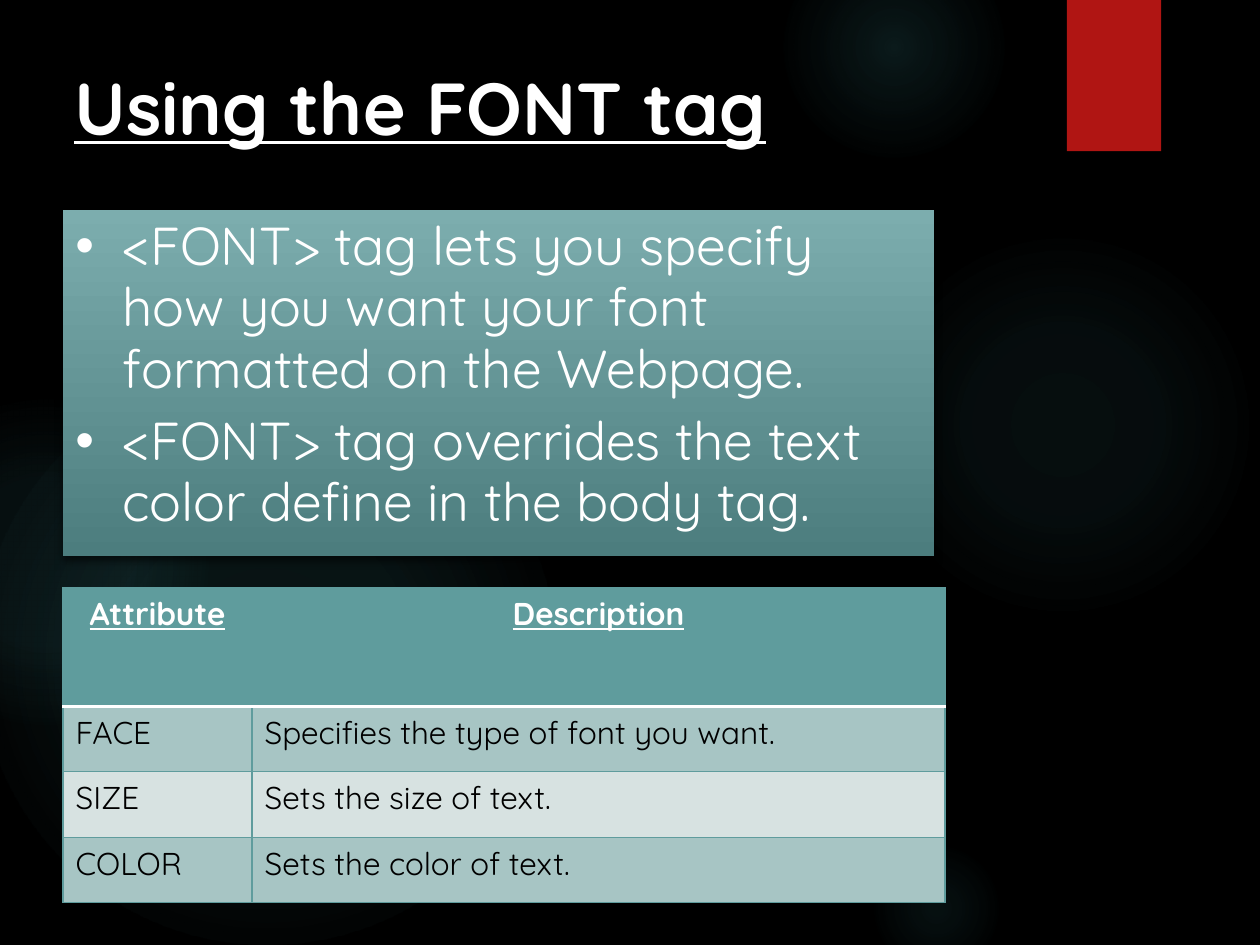
from lxml import etree
from pptx import Presentation
from pptx.dml.color import RGBColor
from pptx.enum.shapes import MSO_SHAPE as Shape
from pptx.enum.text import MSO_ANCHOR as Anchor, PP_ALIGN as Align
from pptx.oxml import parse_xml
from pptx.oxml.ns import nsdecls, qn
from pptx.util import Cm, Pt

BLACK = RGBColor(0x00, 0x00, 0x00)
WHITE = RGBColor(0xFF, 0xFF, 0xFF)
RED = RGBColor(0xB0, 0x15, 0x13)
GLOW = RGBColor(0x50, 0xB9, 0xC1)
PANEL_TOP = RGBColor(0x7C, 0xAD, 0xAE)
PANEL_BOTTOM = RGBColor(0x4C, 0x7D, 0x7E)
TEAL = RGBColor(0x5F, 0x9C, 0x9D)
BAND_DARK = RGBColor(0xA7, 0xC5, 0xC4)
BAND_LIGHT = RGBColor(0xD7, 0xE2, 0xE1)

GLOWS = [
    (17.5, 4.65, 7.82, [(0, 7), (36, 6), (69, 0)]),
    (15.8, -1.27, 4.45, [(0, 14), (36, 7), (73, 0)]),
    (17.5, 16.94, 2.74, [(0, 9), (36, 5), (66, 0)]),
    (-0.43, 7.42, 11.63, [(0, 11), (36, 10), (75, 0)]),
    (-2.34, 8.05, 6.55, [(0, 8), (36, 8), (72, 0)]),
]
BULLETS = [
    "<FONT> tag lets you specify how you want your font formatted on the Webpage.",
    "<FONT> tag overrides the text color define in the body tag.",
]
ATTRIBUTES = [
    ("Attribute", "Description"),
    ("FACE", "Specifies the type of font you want."),
    ("SIZE", "Sets the size of text."),
    ("COLOR", "Sets the color of text."),
]


class SlideBuilder:
    font_name = "Quicksand"

    def __init__(self, slide):
        self.slide = slide
        fill = slide.background.fill
        fill.solid()
        fill.fore_color.rgb = BLACK

    def style(self, paragraph, size, color, bold=False, underline=False):
        for run in paragraph.runs:
            font = run.font
            font.name = self.font_name
            font.size = Pt(size)
            font.bold = bold
            font.underline = underline
            font.color.rgb = color

    def shape(self, kind, left, top, width, height):
        shape = self.slide.shapes.add_shape(
            kind, Cm(left), Cm(top), Cm(width), Cm(height))
        shape.shadow.inherit = False
        shape.line.fill.background()
        return shape

    def gradient(self, shape, stops, direction):
        shape.fill.gradient()
        gradient = shape._element.spPr.find(qn("a:gradFill"))
        stop_xml = "".join(
            f'<a:gs pos="{position * 1000}"><a:srgbClr val="{color}">'
            f'<a:alpha val="{opacity * 1000}"/></a:srgbClr></a:gs>'
            for position, color, opacity in stops)
        gradient.getparent().replace(gradient, parse_xml(
            f'<a:gradFill {nsdecls("a")} rotWithShape="1">'
            f'<a:gsLst>{stop_xml}</a:gsLst>{direction}</a:gradFill>'))

    def shadow(self, shape, opacity, blur, distance):
        effects = shape._element.spPr.find(qn("a:effectLst"))
        effects.append(parse_xml(
            f'<a:outerShdw {nsdecls("a")} blurRad="{Pt(blur)}" dist="{Pt(distance)}" '
            f'dir="5400000" rotWithShape="0"><a:srgbClr val="{BLACK}">'
            f'<a:alpha val="{opacity * 1000}"/></a:srgbClr></a:outerShdw>'))

    def glow(self, left, top, size, stops):
        ellipse = self.shape(Shape.OVAL, left, top, size, size)
        self.gradient(
            ellipse, [(position, GLOW, opacity) for position, opacity in stops],
            '<a:path path="circle"><a:fillToRect l="50000" t="50000" '
            'r="50000" b="50000"/></a:path>')

    def ribbon(self, left, top, width, height):
        ribbon = self.shape(Shape.RECTANGLE, left, top, width, height)
        ribbon.fill.solid()
        ribbon.fill.fore_color.rgb = RED
        self.shadow(ribbon, 45, 3, 2)

    def title(self, text, left, top, width, height):
        box = self.slide.shapes.add_textbox(Cm(left), Cm(top), Cm(width), Cm(height))
        frame = box.text_frame
        frame.word_wrap = True
        frame.vertical_anchor = Anchor.MIDDLE
        frame.text = text
        self.style(frame.paragraphs[0], 42, WHITE, bold=True, underline=True)

    def bullet_panel(self, items, left, top, width, height):
        panel = self.shape(Shape.RECTANGLE, left, top, width, height)
        self.gradient(panel, [(0, PANEL_TOP, 100), (100, PANEL_BOTTOM, 100)],
                      '<a:lin ang="5400000" scaled="0"/>')
        self.shadow(panel, 60, 5, 3)
        frame = panel.text_frame
        frame.vertical_anchor = Anchor.TOP
        frame.text = "\n".join(items)
        for paragraph in frame.paragraphs:
            paragraph.alignment = Align.LEFT
            paragraph.line_spacing = 0.96
            paragraph.space_after = Pt(6)
            properties = paragraph._p.get_or_add_pPr()
            properties.set("marL", str(Cm(0.95)))
            properties.set("indent", str(Cm(-0.95)))
            etree.SubElement(properties, qn("a:buFont"), typeface="Arial")
            etree.SubElement(properties, qn("a:buChar"), char="•")
            self.style(paragraph, 30.5, WHITE)

    def border(self, cell, side, color, width):
        cell._tc.get_or_add_tcPr().append(parse_xml(
            f'<a:ln{side} {nsdecls("a")} w="{Pt(width)}"><a:solidFill>'
            f'<a:srgbClr val="{color}"/></a:solidFill></a:ln{side}>'))

    def table(self, rows, left, top, column_widths, row_heights):
        table = self.slide.shapes.add_table(
            len(rows), len(column_widths), Cm(left), Cm(top),
            Cm(sum(column_widths)), Cm(sum(row_heights))).table
        for column, width in zip(table.columns, column_widths):
            column.width = Cm(width)
        for index, (row, height, texts) in enumerate(zip(table.rows, row_heights, rows)):
            row.height = Cm(height)
            for cell, text in zip(row.cells, texts):
                self.table_cell(cell, text, index)

    def table_cell(self, cell, text, row_index):
        header = row_index == 0
        white_side = {0: "B", 1: "T"}.get(row_index)
        for side in "LRTB":
            color, width = (WHITE, 1.5) if side == white_side else (TEAL, 0.75)
            self.border(cell, side, color, width)
        cell.fill.solid()
        band = BAND_DARK if row_index % 2 else BAND_LIGHT
        cell.fill.fore_color.rgb = TEAL if header else band
        cell.text_frame.text = text
        paragraph = cell.text_frame.paragraphs[0]
        paragraph.alignment = Align.CENTER if header else Align.LEFT
        self.style(paragraph, 18, WHITE if header else BLACK, header, header)


def main():
    presentation = Presentation()
    presentation.slide_width = Cm(25.4)
    presentation.slide_height = Cm(19.05)
    builder = SlideBuilder(presentation.slides.add_slide(presentation.slide_layouts[6]))
    for glow in GLOWS:
        builder.glow(*glow)
    builder.ribbon(21.51, 0, 1.9, 3.05)
    builder.title("Using the FONT tag", 1.25, 0.89, 18.87, 2.49)
    builder.bullet_panel(BULLETS, 1.27, 4.23, 17.57, 6.98)
    builder.table(ATTRIBUTES, 1.27, 11.85, [3.81, 13.97], [2.39, 1.32, 1.32, 1.32])
    presentation.save("out.pptx")


if __name__ == "__main__":
    main()
